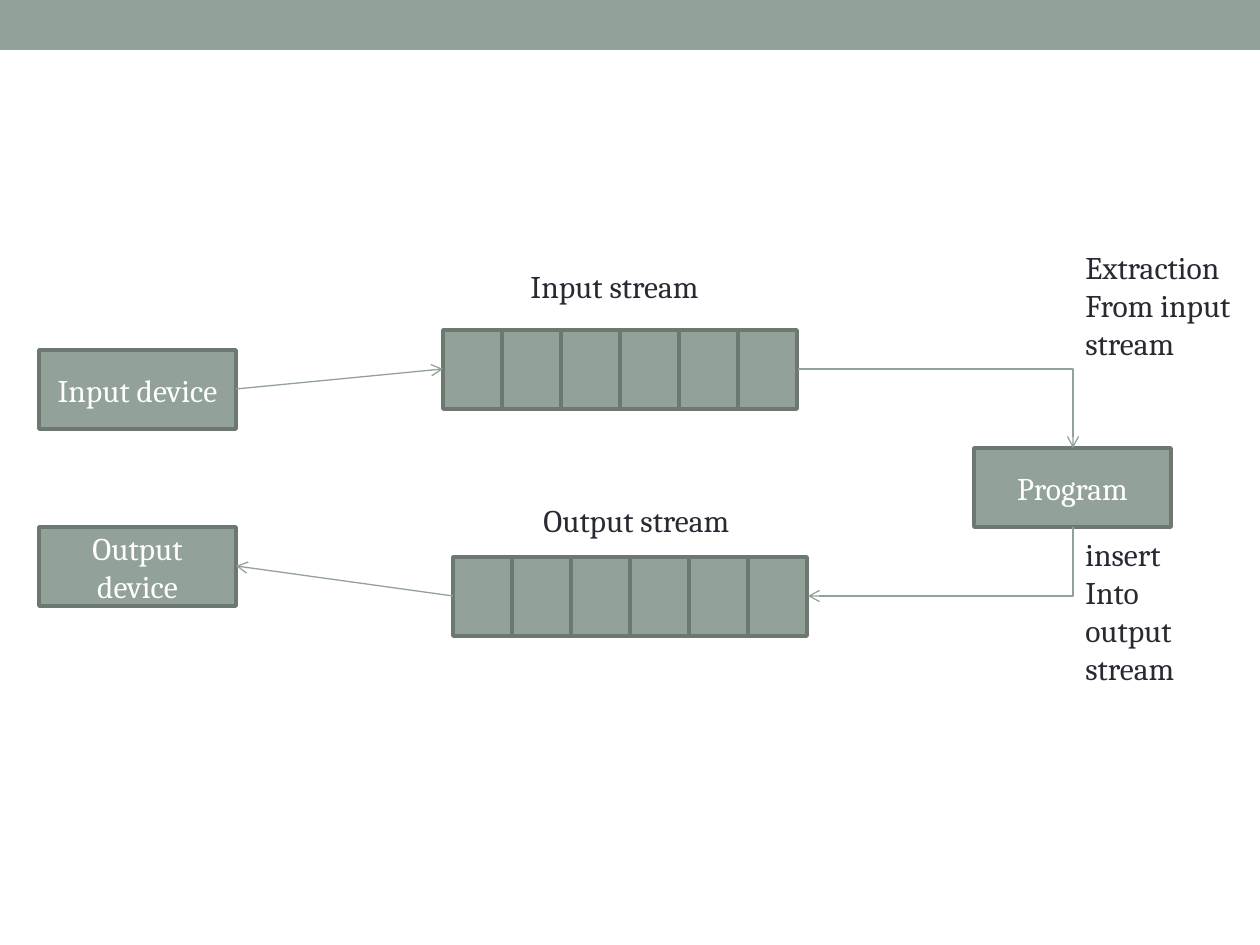
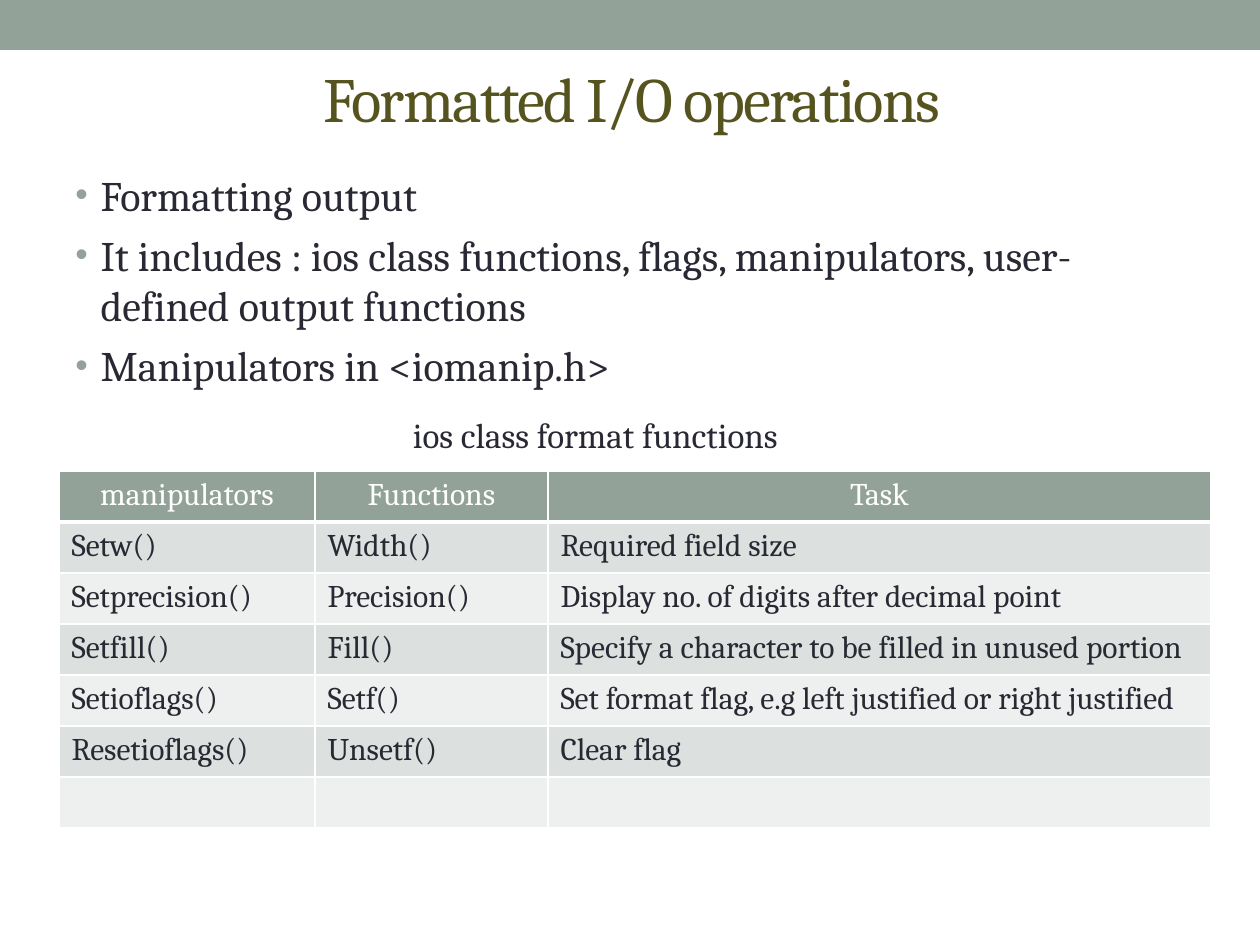
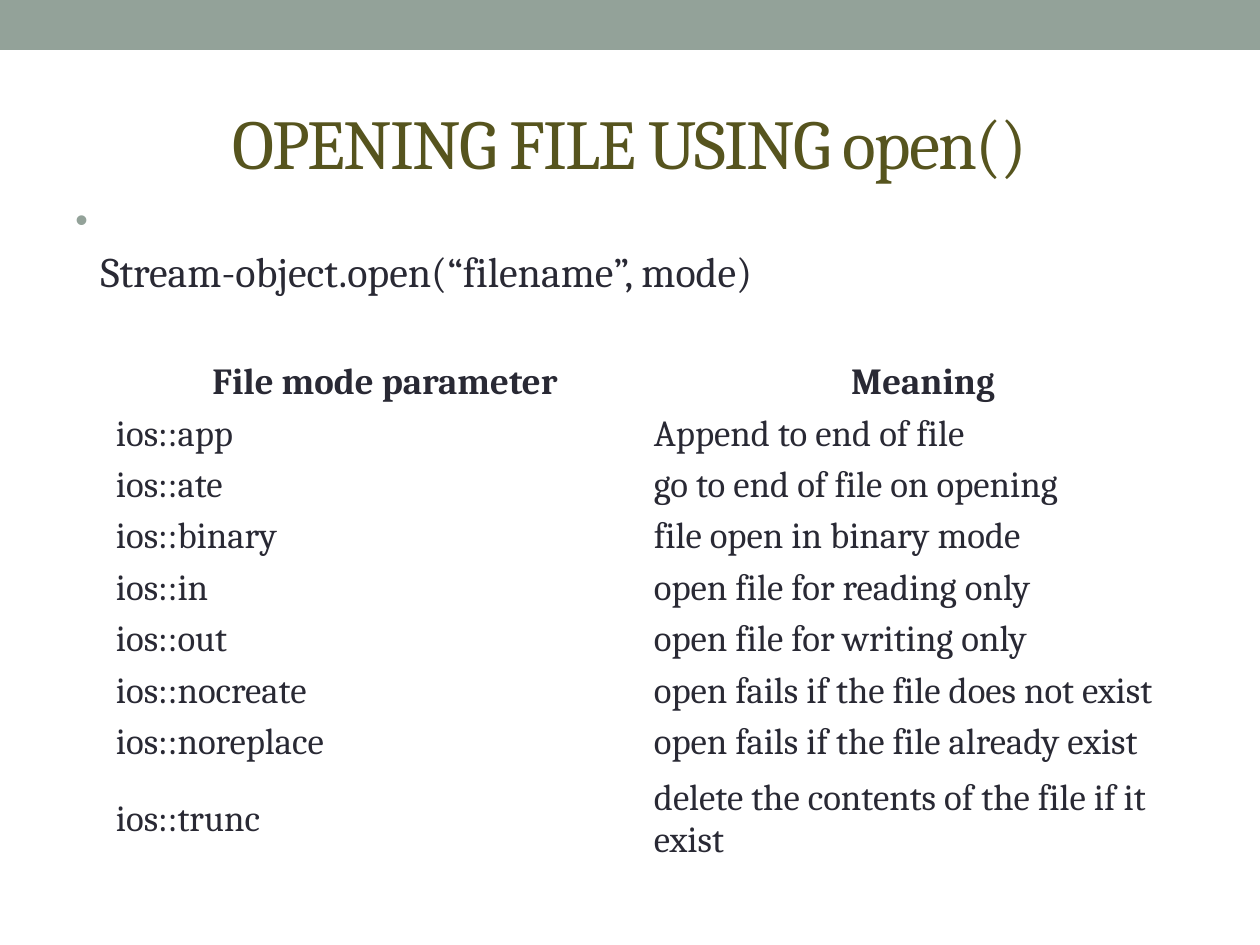
from pptx import Presentation
from pptx.dml.color import RGBColor
from pptx.enum.shapes import MSO_CONNECTOR, MSO_SHAPE
from pptx.enum.text import MSO_ANCHOR, MSO_AUTO_SIZE, PP_ALIGN
from pptx.oxml.ns import qn
from pptx.util import Emu, Pt
from lxml.etree import SubElement

SCALE = 914400 / 126
SAGE = RGBColor(0x93, 0xA2, 0x99)
SAGE_DARK = RGBColor(0x6D, 0x78, 0x71)
BAND_ODD = RGBColor(0xDC, 0xE0, 0xDE)
BAND_EVEN = RGBColor(0xEE, 0xF0, 0xEF)
INK = RGBColor(0x29, 0x29, 0x34)
OLIVE = RGBColor(0x56, 0x54, 0x1E)
WHITE = RGBColor(0xFF, 0xFF, 0xFF)


def px(*lengths):
    """Turn pixel lengths into a list of EMU."""
    return [Emu(round(length * SCALE)) for length in lengths]


def write(frame, text, size, color=INK, align=PP_ALIGN.LEFT, bold=False):
    """Fill a text frame and format all its runs alike."""
    frame.text = text
    frame.word_wrap = True
    for para in frame.paragraphs:
        para.alignment = align
        for span in para.runs:
            span.font.name = "Cambria"
            span.font.size = Pt(size)
            span.font.bold = bold
            span.font.color.rgb = color


deck = Presentation()
deck.slide_width, deck.slide_height = px(1260, 945)
title_only, blank = deck.slide_layouts[5], deck.slide_layouts[6]

# Slide 1: stream diagram
page = deck.slides.add_slide(blank)

# The top band belongs to the master, so every slide shows it
band = page.shapes.add_shape(MSO_SHAPE.RECTANGLE, *px(0, 0, 1260, 50))
band.shadow.inherit = False
band.fill.solid()
band.fill.fore_color.rgb = SAGE
band.line.fill.background()
deck.slide_master.element.cSld.spTree.insert(2, band.element)

CELL, HEIGHT = 59, 79
boxes = [
    (39, 350, 197, "Input device"),
    (39, 527, 197, "Output device"),
    (974, 448, 197, "Program"),
]
for stream_left, stream_top in [(443, 330), (453, 557)]:
    boxes += [(stream_left + i * CELL, stream_top, CELL, "") for i in range(6)]
for left, top, width, label in boxes:
    box = page.shapes.add_shape(MSO_SHAPE.RECTANGLE, *px(left, top, width, HEIGHT))
    box.shadow.inherit = False
    box.fill.solid()
    box.fill.fore_color.rgb = SAGE
    box.line.color.rgb = SAGE_DARK
    box.line.width = Pt(2.08)
    if label:
        write(box.text_frame, label, 18, WHITE, PP_ALIGN.CENTER)
        box.text_frame.vertical_anchor = MSO_ANCHOR.MIDDLE

arrows = [
    (MSO_CONNECTOR.STRAIGHT, (236, 389, 443, 369), "a:tailEnd"),
    (MSO_CONNECTOR.STRAIGHT, (453, 596, 236, 566), "a:tailEnd"),
    (MSO_CONNECTOR.ELBOW, (798, 369, 1073, 448), "a:tailEnd"),
    (MSO_CONNECTOR.ELBOW, (808, 596, 1073, 527), "a:headEnd"),
]
for kind, ends, arrow_end in arrows:
    arrow = page.shapes.add_connector(kind, *px(*ends))
    arrow.line.color.rgb = SAGE
    arrow.line.width = Pt(0.75)
    properties = arrow.element.spPr
    SubElement(properties.find(qn("a:ln")), qn(arrow_end), type="arrow")
    SubElement(properties, qn("a:effectLst"))
    if kind == MSO_CONNECTOR.ELBOW:
        properties.find(qn("a:prstGeom")).set("prst", "bentConnector2")

labels = [
    ((1073, 242, 187, 127), "Extraction\nFrom input\nstream", PP_ALIGN.LEFT),
    ((1073, 529, 187, 165), "insert\nInto\noutput\nstream", PP_ALIGN.LEFT),
    ((452, 261, 325, 50), "Input stream", PP_ALIGN.CENTER),
    ((474, 495, 325, 50), "Output stream", PP_ALIGN.CENTER),
]
for place, text, align in labels:
    label_box = page.shapes.add_textbox(*px(*place))
    write(label_box.text_frame, text, 18, INK, align)

# Slides 2 and 3: a title, bullets and a table each
topics = [
    {
        "title": "Formatted I/O operations",
        "title_size": 36,
        "title_place": (63, 54, 1138, 87),
        "bullets": "Formatting output\n"
                   "It includes : ios class functions, flags, manipulators, "
                   "user-defined output functions\n"
                   "Manipulators in <iomanip.h>",
        "bullets_place": (63, 163, 1138, 227),
        "table_place": (59, 471),
        "columns": (256, 233, 663),
        "row_heights": [51] * 7,
        "size": 18,
        "banded": True,
        "rows": [
            ("manipulators", "Functions", "Task"),
            ("Setw()", "Width()", "Required field size"),
            ("Setprecision()", "Precision()", "Display no. of digits after decimal point"),
            ("Setfill()", "Fill()", "Specify a character to be filled in unused portion"),
            ("Setioflags()", "Setf()", "Set format flag, e.g left justified or right justified"),
            ("Resetioflags()", "Unsetf()", "Clear flag"),
            ("", "", ""),
        ],
    },
    {
        "title": "OPENING FILE USING open()",
        "title_size": 40,
        "title_place": (63, 73, 1134, 136),
        "bullets": "\vStream-object.open(“filename”, mode)",
        "bullets_place": (63, 189, 1134, 136),
        "table_place": (116, 357),
        "columns": (538, 538),
        "row_heights": [51.4] * 8 + [102.8],
        "size": 21,
        "banded": False,
        "rows": [
            ("File mode parameter", "Meaning"),
            ("ios::app", "Append to end of file"),
            ("ios::ate", "go to end of file on opening"),
            ("ios::binary", "file open in binary mode"),
            ("ios::in", "open file for reading only"),
            ("ios::out", "open file for writing only"),
            ("ios::nocreate", "open fails if the file does not exist"),
            ("ios::noreplace", "open fails if the file already exist"),
            ("ios::trunc", "delete the contents of the file if it exist"),
        ],
    },
]
for topic in topics:
    page = deck.slides.add_slide(title_only)
    title = page.shapes.title
    title.left, title.top, title.width, title.height = px(*topic["title_place"])
    write(title.text_frame, topic["title"], topic["title_size"], OLIVE, PP_ALIGN.CENTER)
    title.text_frame.auto_size = MSO_AUTO_SIZE.NONE
    title.text_frame.vertical_anchor = MSO_ANCHOR.MIDDLE
    title.text_frame.paragraphs[0].runs[0].font._element.set("spc", "-100")

    bullets = page.shapes.add_textbox(*px(*topic["bullets_place"]))
    write(bullets.text_frame, topic["bullets"], 24)
    for para in bullets.text_frame.paragraphs:
        para.space_before = Pt(5.5)
        settings = para._p.get_or_add_pPr()
        settings.set("marL", "182880")
        settings.set("indent", "-182880")
        bullet_color = SubElement(settings, qn("a:buClr"))
        SubElement(bullet_color, qn("a:srgbClr"), val=str(SAGE))
        SubElement(settings, qn("a:buSzPct"), val="85000")
        SubElement(settings, qn("a:buFont"), typeface="Arial")
        SubElement(settings, qn("a:buChar"), char="•")
        for line_break in para._p.findall(qn("a:br")):
            break_font = SubElement(line_break, qn("a:rPr"), sz="2400")
            SubElement(break_font, qn("a:latin"), typeface="Cambria")

    rows, columns, heights = topic["rows"], topic["columns"], topic["row_heights"]
    banded = topic["banded"]
    table = page.shapes.add_table(
        len(rows), len(columns), *px(*topic["table_place"], sum(columns), sum(heights))
    ).table
    for column, width in zip(table.columns, px(*columns)):
        column.width = width
    for row, height in zip(table.rows, px(*heights)):
        row.height = height
    for r, texts in enumerate(rows):
        header = r == 0
        for c, text in enumerate(texts):
            cell = table.cell(r, c)
            write(
                cell.text_frame, text, topic["size"],
                WHITE if header and banded else INK,
                PP_ALIGN.CENTER if header else PP_ALIGN.LEFT,
                header and not banded,
            )
            if not banded:
                cell.vertical_anchor = MSO_ANCHOR.MIDDLE
                cell.margin_left = cell.margin_right = 0
                cell.margin_top = cell.margin_bottom = 0
            borders = cell._tc.get_or_add_tcPr()
            for side in ("a:lnL", "a:lnR", "a:lnT", "a:lnB"):
                thick = header and side == "a:lnB"
                edge = SubElement(borders, qn(side), w=str(Pt(3 if thick else 1)))
                if banded:
                    edge_fill = SubElement(edge, qn("a:solidFill"))
                    SubElement(edge_fill, qn("a:srgbClr"), val=str(WHITE))
                else:
                    SubElement(edge, qn("a:noFill"))
            if banded:
                cell.fill.solid()
                cell.fill.fore_color.rgb = SAGE if header else BAND_ODD if r % 2 else BAND_EVEN
            else:
                cell.fill.background()

# Caption above the format functions table
caption = deck.slides[1].shapes.add_textbox(*px(354, 407, 483, 55))
write(caption.text_frame, "ios class format functions", 20, INK, PP_ALIGN.CENTER)

deck.save("out.pptx")
